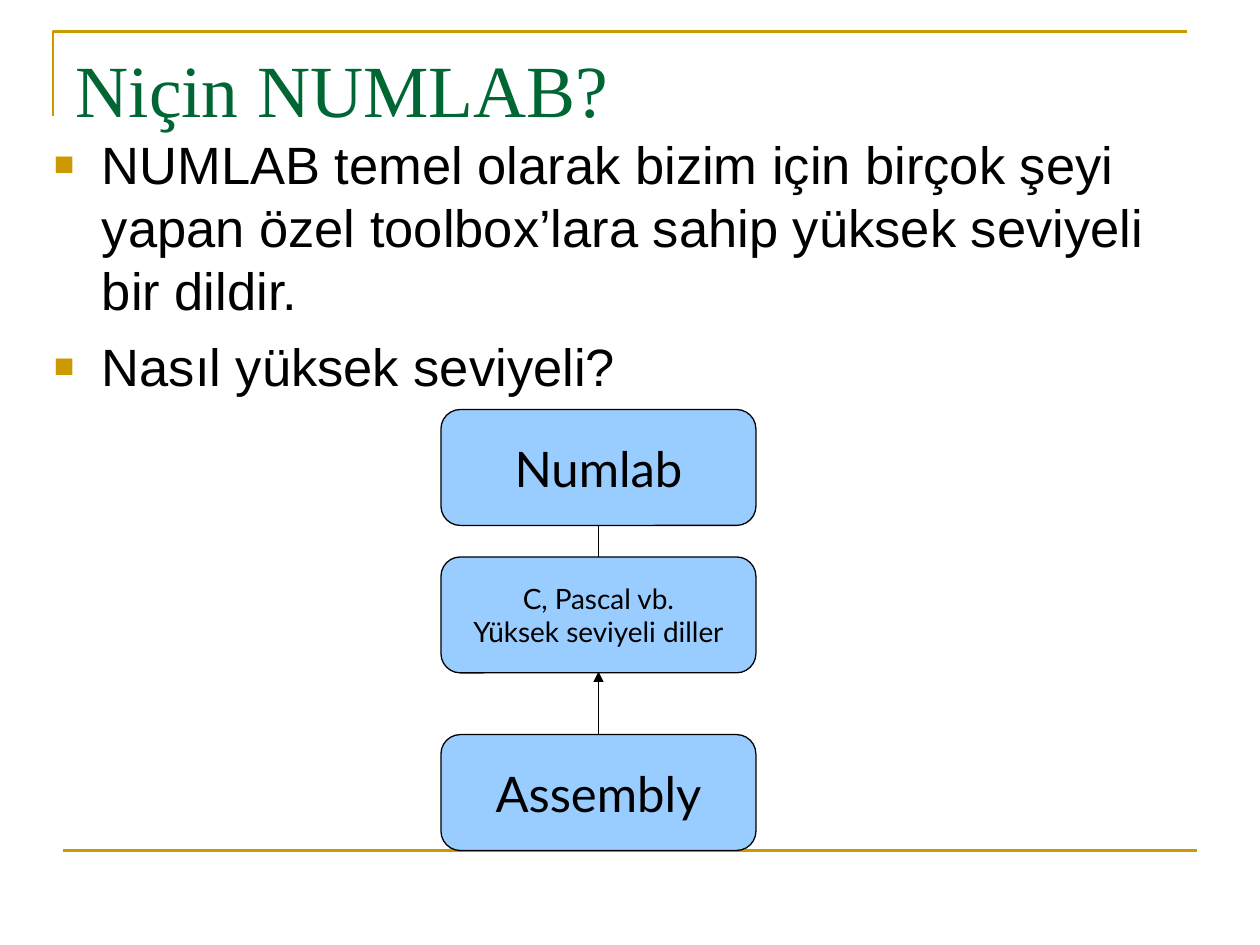
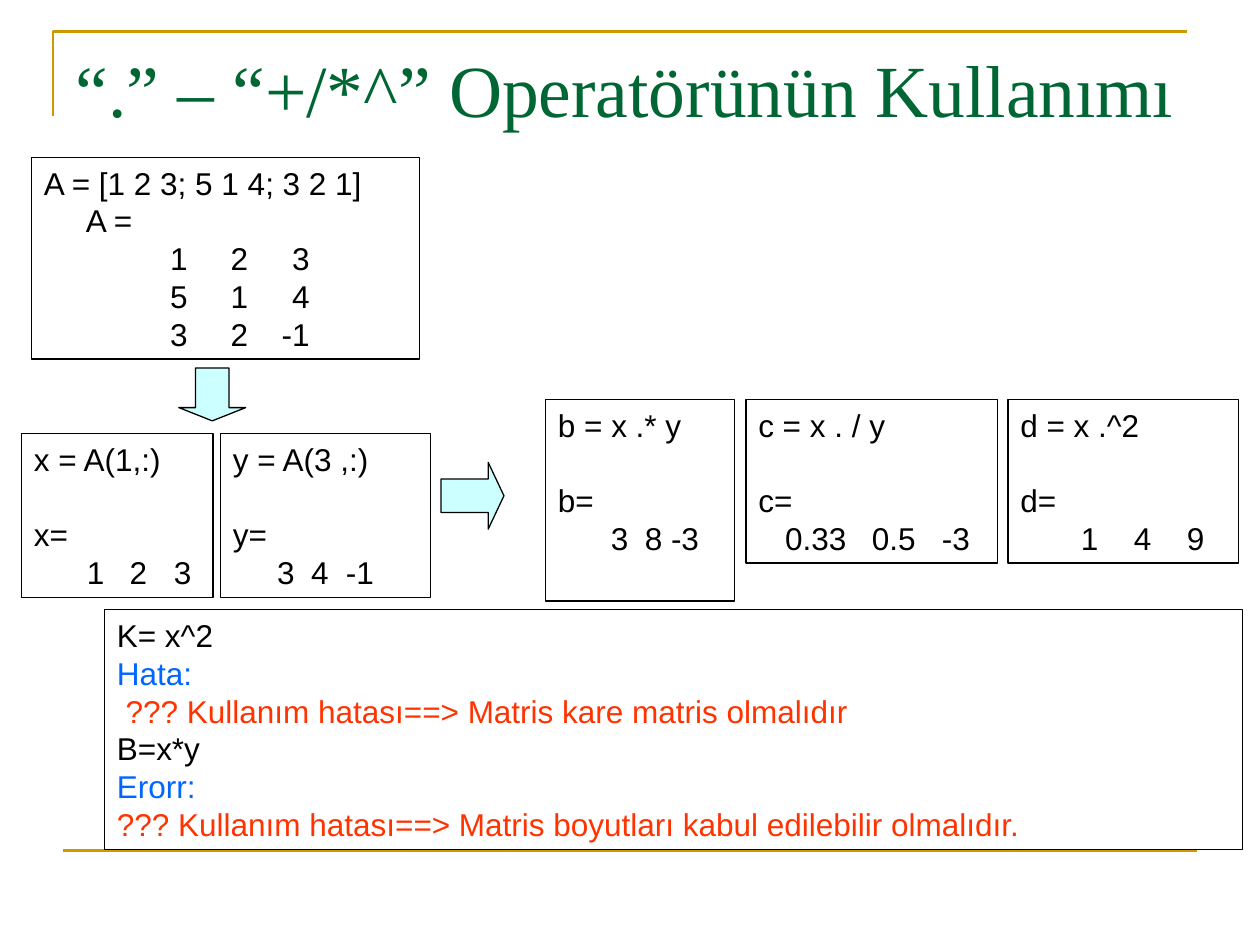
from lxml import etree
from pptx import Presentation
from pptx.dml.color import RGBColor
from pptx.enum import shapes, text
from pptx.oxml import ns
from pptx.util import Inches, Pt

GOLD, GREEN, BLACK = "CC9900", "006633", "000000"
BOX_BLUE, ARROW_CYAN = "99CCFF", "CCFFFF"
LABEL_BLUE, ERROR_RED = "0066FF", "FF3300"
SERIF, SANS, DIAGRAM_FONT = "Times New Roman", "Arial", "Lato"
CODE_SIZE = 18
SKIPPED_LINE = 21.6  # height of one line of code, in points


def color(hex_value):
    return RGBColor.from_string(hex_value)


def add_xml(parent, tag, **attributes):
    return etree.SubElement(parent, ns.qn(tag), attributes)


class Deck:
    def __init__(self):
        self.prs = Presentation()
        self.prs.slide_width, self.prs.slide_height = Inches(10), Inches(7.5)
        self.slide = None

    def new_slide(self, title):
        self.slide = self.prs.slides.add_slide(self.prs.slide_layouts[5])
        heading = self.slide.shapes.title
        heading.left, heading.top = Inches(0.5), Inches(0.3)
        heading.width, heading.height = Inches(9), Inches(1.25)
        frame = self.setup_frame(heading)
        frame.text = title
        self.style(frame.paragraphs[0], 42, SERIF, GREEN)
        # Corner rule at the top, line at the foot
        builder = self.slide.shapes.build_freeform(Inches(0.42), Inches(0.92))
        builder.add_line_segments([(Inches(0.42), Inches(0.25)),
                                   (Inches(9.42), Inches(0.25))], close=False)
        corner = builder.convert_to_shape()
        self.finish(corner, None, GOLD, 1.5)
        self.line((0.5, 6.75), (9.5, 6.75), GOLD, 1.5)

    def setup_frame(self, shape, anchor=text.MSO_ANCHOR.TOP):
        frame = shape.text_frame
        frame.word_wrap = True
        frame.auto_size = text.MSO_AUTO_SIZE.NONE
        frame.vertical_anchor = anchor
        return frame

    def style(self, paragraph, size, face, hue=BLACK, align=text.PP_ALIGN.LEFT):
        paragraph.alignment = align
        font = paragraph.font
        font.size, font.name = Pt(size), face
        font.color.rgb = color(hue)

    def finish(self, shape, fill, outline=BLACK, width=0.75):
        shape.shadow.inherit = False
        if fill:
            shape.fill.solid()
            shape.fill.fore_color.rgb = color(fill)
        else:
            shape.fill.background()
        shape.line.color.rgb = color(outline)
        shape.line.width = Pt(width)

    def paragraphs(self, frame, count):
        return [frame.paragraphs[0]] + [frame.add_paragraph() for _ in range(count - 1)]

    def line(self, start, end, hue=BLACK, width=0.75, arrow=False):
        rule = self.slide.shapes.add_connector(
            shapes.MSO_CONNECTOR.STRAIGHT, *map(Inches, start + end))
        rule.line.color.rgb = color(hue)
        rule.line.width = Pt(width)
        if arrow:
            add_xml(rule.line._get_or_add_ln(), "a:tailEnd", type="triangle")
        add_xml(rule._element.spPr, "a:effectLst")

    def shape(self, kind, place, fill, adjustments=()):
        new = self.slide.shapes.add_shape(kind, *map(Inches, place))
        self.finish(new, fill)
        for index, value in enumerate(adjustments):
            new.adjustments[index] = value
        return new

    def bullets(self, place, items):
        body = self.slide.shapes.add_textbox(*map(Inches, place))
        frame = self.setup_frame(body)
        for index, (paragraph, item) in enumerate(zip(self.paragraphs(frame, len(items)), items)):
            paragraph.text = item
            if index:
                paragraph.space_before = Pt(7.5)
            props = paragraph._p.get_or_add_pPr()
            props.set("marL", str(Inches(0.38)))
            props.set("indent", str(-Inches(0.38)))
            add_xml(add_xml(props, "a:buClr"), "a:srgbClr", val=GOLD)
            add_xml(props, "a:buSzPct", val="65000")
            add_xml(props, "a:buFont", typeface=SANS)
            add_xml(props, "a:buChar", char="■")
            self.style(paragraph, 30, SANS)

    def level_box(self, place, lines, size):
        box = self.shape(shapes.MSO_SHAPE.ROUNDED_RECTANGLE, place, BOX_BLUE, [0.167])
        frame = self.setup_frame(box, text.MSO_ANCHOR.MIDDLE)
        for paragraph, content in zip(self.paragraphs(frame, len(lines)), lines):
            paragraph.text = content
            self.style(paragraph, size, DIAGRAM_FONT, align=text.PP_ALIGN.CENTER)

    def code_box(self, place, lines, columns=(), skip_before=None):
        """Lines are (text, colour); columns are right edges of the numbers."""
        box = self.shape(shapes.MSO_SHAPE.RECTANGLE, place, None)
        frame = self.setup_frame(box)
        for index, (paragraph, (content, hue)) in enumerate(
                zip(self.paragraphs(frame, len(lines)), lines)):
            paragraph.text = content
            if index == skip_before:
                paragraph.space_before = Pt(SKIPPED_LINE)
            if "\t" in content:
                stops = add_xml(paragraph._p.get_or_add_pPr(), "a:tabLst")
                for edge in columns:
                    add_xml(stops, "a:tab", pos=str(Inches(edge)), algn="r")
            self.style(paragraph, CODE_SIZE, SANS, hue)


def number_row(*values):
    return "".join("\t" + value for value in values), BLACK


def language_levels(deck):
    deck.new_slide("Niçin NUMLAB?")
    deck.bullets((0.33, 1, 9.08, 2.92), [
        "NUMLAB temel olarak bizim için birçok şeyi yapan özel toolbox’lara "
        "sahip yüksek seviyeli bir dildir.",
        "Nasıl yüksek seviyeli?",
    ])
    # Language stack, from the lowest level up, each arrow under the next box
    left, width, height = 3.5, 2.5, 0.92
    center = left + width / 2
    levels = [(5.83, ["Assembly"], 28),
              (4.42, ["C, Pascal vb.", "Yüksek seviyeli diller"], 16),
              (3.25, ["Numlab"], 28)]
    arrow_ends = [5.33, 3.92, None]
    for (top, lines, size), end in zip(levels, arrow_ends):
        deck.level_box((left, top, width, height), lines, size)
        if end:
            deck.line((center, top), (center, end), arrow=True)


def operators(deck):
    deck.new_slide("“.” – “+/*^” Operatörünün Kullanımı")
    # Errors
    deck.code_box((0.83, 4.84, 9.03, 1.9), [
        ("K= x^2", BLACK),
        ("Hata:", LABEL_BLUE),
        (" ??? Kullanım hatası==> Matris kare matris olmalıdır", ERROR_RED),
        ("B=x*y", BLACK),
        ("Erorr:", LABEL_BLUE),
        ("??? Kullanım hatası==> Matris boyutları kabul edilebilir olmalıdır.", ERROR_RED),
    ])
    # Matrix
    deck.code_box((0.25, 1.25, 3.08, 1.6), [
        ("A = [1 2 3; 5 1 4; 3 2 1]", BLACK),
        ("     A =", BLACK),
        number_row("1", "2", "3"),
        number_row("5", "1", "4"),
        number_row("3", "2", "-1"),
    ], columns=(1.14, 1.62, 2.11))
    # Row vectors and results of the dotted operators
    results = [
        ((0.17, 3.44, 1.52, 1.3), "x = A(1,:)", "x=", ("1", "2", "3"), (0.56, 0.9, 1.25)),
        ((1.75, 3.44, 1.67, 1.3), "y = A(3 ,:)", "y=", ("3", "4", "-1"), (0.49, 0.76, 1.12)),
        ((4.33, 3.17, 1.5, 1.6), "b = x .* y", "b=", ("3", "8", "-3"), (0.56, 0.83, 1.12)),
        ((5.92, 3.17, 2, 1.3), "c = x . / y", "c=", ("0.33", "0.5", "-3"), (0.7, 1.25, 1.68)),
        ((8, 3.17, 1.83, 1.3), "d = x .^2", "d=", ("1", "4", "9"), (0.62, 1.04, 1.46)),
    ]
    for place, command, answer, values, columns in results:
        deck.code_box(place, [(command, BLACK), (answer, BLACK), number_row(*values)],
                      columns, skip_before=1)
    # Flow arrows
    for kind, place in [(shapes.MSO_SHAPE.RIGHT_ARROW, (3.5, 3.67, 0.5, 0.53)),
                        (shapes.MSO_SHAPE.DOWN_ARROW, (1.42, 2.92, 0.53, 0.42))]:
        deck.shape(kind, place, ARROW_CYAN, [0.5, 0.25])


def main():
    deck = Deck()
    language_levels(deck)
    operators(deck)
    deck.prs.save("out.pptx")


if __name__ == "__main__":
    main()
